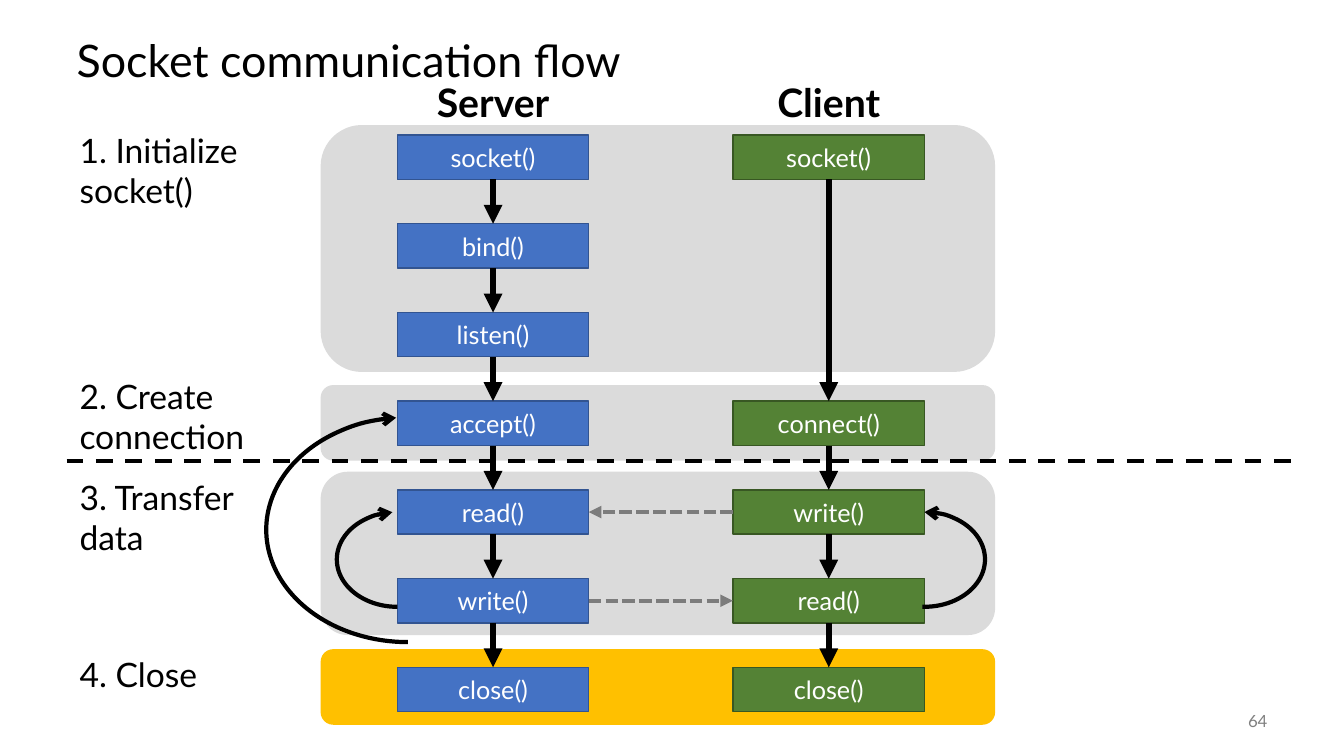
from lxml import etree
from pptx import Presentation
from pptx.dml.color import RGBColor
from pptx.enum.dml import MSO_LINE
from pptx.enum.shapes import MSO_CONNECTOR, MSO_SHAPE
from pptx.enum.text import MSO_ANCHOR, MSO_AUTO_SIZE, PP_ALIGN
from pptx.oxml.ns import qn
from pptx.util import Emu, Pt

STRAIGHT = MSO_CONNECTOR.STRAIGHT
RECT, ROUNDED, ARC = MSO_SHAPE.RECTANGLE, MSO_SHAPE.ROUNDED_RECTANGLE, MSO_SHAPE.ARC
SHORT_DASH, LONG_DASH = MSO_LINE.SQUARE_DOT, MSO_LINE.DASH
TOP, MIDDLE = MSO_ANCHOR.TOP, MSO_ANCHOR.MIDDLE
LEFT, CENTER, RIGHT = PP_ALIGN.LEFT, PP_ALIGN.CENTER, PP_ALIGN.RIGHT
NO_FIT = MSO_AUTO_SIZE.NONE
SITE_TOP, SITE_LEFT, SITE_BOTTOM, SITE_RIGHT = range(4)

PX = 9144
FONT = "Lato"
COLORS = {
    "text": "000000", "call_text": "FFFFFF", "page": "808080",
    "server": "4472C4", "server_edge": "325491",
    "client": "548235", "client_edge": "385723",
    "phase": "DBDBDB", "close": "FFC000",
    "flow": "000000", "message": "7C7C7C",
}
CALL_WIDTH, CALL_HEIGHT, CALL_STEP = 190, 44, 88
COLUMN_TOP = 134
SERVER_LEFT, CLIENT_LEFT = 394, 727
BAND_LEFT, BAND_WIDTH = 318, 669
SERVER_CALLS = {0: "socket()", 1: "bind()", 2: "listen()", 3: "accept()",
                4: "read()", 5: "write()", 6: "close()"}
CLIENT_CALLS = {0: "socket()", 3: "connect()", 4: "write()", 5: "read()", 6: "close()"}
PHASES = [
    ("1. Initialize socket()", 124, 245, 124, 91, "phase"),
    ("2. Create connection", 382, 75, 368, 91, "phase"),
    ("3. Transfer data", 468, 162, 468, 91, "phase"),
    ("4. Close", 644, 75, 644, 50, "close"),
]


def px(*lengths):
    return [Emu(length * PX) for length in lengths]


def color(name):
    return RGBColor.from_string(COLORS[name])


def write(shape, text, size, ink="text", bold=False, align=LEFT, anchor=TOP, spacing=1.0):
    frame = shape.text_frame
    frame.word_wrap = True
    frame.auto_size = NO_FIT
    frame.vertical_anchor = anchor
    paragraph = frame.paragraphs[0]
    paragraph.alignment = align
    paragraph.line_spacing = spacing
    run = paragraph.add_run()
    run.text = text
    run.font.name = FONT
    run.font.size = Pt(size)
    run.font.bold = bold
    run.font.color.rgb = color(ink)


def add_label(slide, box, text, size, **style):
    write(slide.shapes.add_textbox(*px(*box)), text, size, **style)


def add_arrowhead(shape, end, kind):
    outline = shape._element.spPr.find(qn("a:ln"))
    etree.SubElement(outline, qn(f"a:{end}"), type=kind)


def add_line(slide, ends, ink, width, dash=None):
    line = slide.shapes.add_connector(STRAIGHT, *px(*ends))
    line.line.color.rgb = color(ink)
    line.line.width = Pt(width)
    if dash:
        line.line.dash_style = dash
    etree.SubElement(line._element.spPr, qn("a:effectLst"))
    return line


def join(slide, source, source_site, target, target_site, ink, width, dash=None):
    arrow = add_line(slide, (0, 0, 0, 0), ink, width, dash)
    arrow.begin_connect(source, source_site)
    arrow.end_connect(target, target_site)
    add_arrowhead(arrow, "tailEnd", "triangle")


def add_phase(slide, text, top, height, label_top, label_height, fill):
    band = slide.shapes.add_shape(ROUNDED, *px(BAND_LEFT, top, BAND_WIDTH, height))
    band.shadow.inherit = False
    band.fill.solid()
    band.fill.fore_color.rgb = color(fill)
    band.line.fill.background()
    add_label(slide, (69, label_top, 238, label_height), text, 24)


def add_call(slide, left, row, text, role):
    box = (left, COLUMN_TOP + row * CALL_STEP, CALL_WIDTH, CALL_HEIGHT)
    call = slide.shapes.add_shape(RECT, *px(*box))
    call.shadow.inherit = False
    call.fill.solid()
    call.fill.fore_color.rgb = color(role)
    call.line.color.rgb = color(f"{role}_edge")
    call.line.width = Pt(1)
    write(call, text, 18, ink="call_text", align=CENTER, anchor=MIDDLE)
    return call


def add_column(slide, left, heading, heading_left, calls, role):
    add_label(slide, (heading_left, 73, 178, 57), heading, 28, bold=True, align=CENTER)
    boxes = {row: add_call(slide, left, row, text, role) for row, text in calls.items()}
    ordered = list(boxes.values())
    for upper, lower in zip(ordered, ordered[1:]):
        join(slide, upper, SITE_BOTTOM, lower, SITE_TOP, "flow", 4.5)
    return boxes


def add_loop(slide, box, sweep_end, arrow_end, rotation=0):
    loop = slide.shapes.add_shape(ARC, *px(*box))
    loop.adjustments[0] = 162
    loop.adjustments[1] = sweep_end
    loop.rotation = rotation
    loop.shadow.inherit = False
    loop.fill.background()
    loop.line.color.rgb = color("flow")
    loop.line.width = Pt(3)
    add_arrowhead(loop, arrow_end, "arrow")


def add_flow(slide):
    for phase in PHASES:
        add_phase(slide, *phase)
    server = add_column(slide, SERVER_LEFT, "Server", 400, SERVER_CALLS, "server")
    client = add_column(slide, CLIENT_LEFT, "Client", 733, CLIENT_CALLS, "client")
    join(slide, client[4], SITE_LEFT, server[4], SITE_RIGHT, "message", 3, SHORT_DASH)
    join(slide, server[5], SITE_RIGHT, client[5], SITE_LEFT, "message", 3, SHORT_DASH)
    add_loop(slide, (334, 508, 120, 94), 50.404, "tailEnd", 180)
    add_loop(slide, (857, 508, 120, 94), 55.526, "headEnd")
    add_loop(slide, (264, 414, 281, 223), 50.404, "tailEnd", 180)
    add_line(slide, (66, 457, 1282, 457), "flow", 3, LONG_DASH)


def add_title(slide, box, text):
    title = slide.shapes.title
    title.left, title.top, title.width, title.height = px(*box)
    write(title, text, 32, anchor=MIDDLE, spacing=0.9)


def main():
    deck = Presentation()
    deck.slide_width, deck.slide_height = px(1333, 750)
    slide = deck.slides.add_slide(deck.slide_layouts[5])
    add_title(slide, (66, 25, 1200, 75), "Socket communication flow")
    add_flow(slide)
    add_label(slide, (1167, 695, 100, 40), "64", 12, ink="page", align=RIGHT, anchor=MIDDLE)
    deck.save("out.pptx")


if __name__ == "__main__":
    main()
